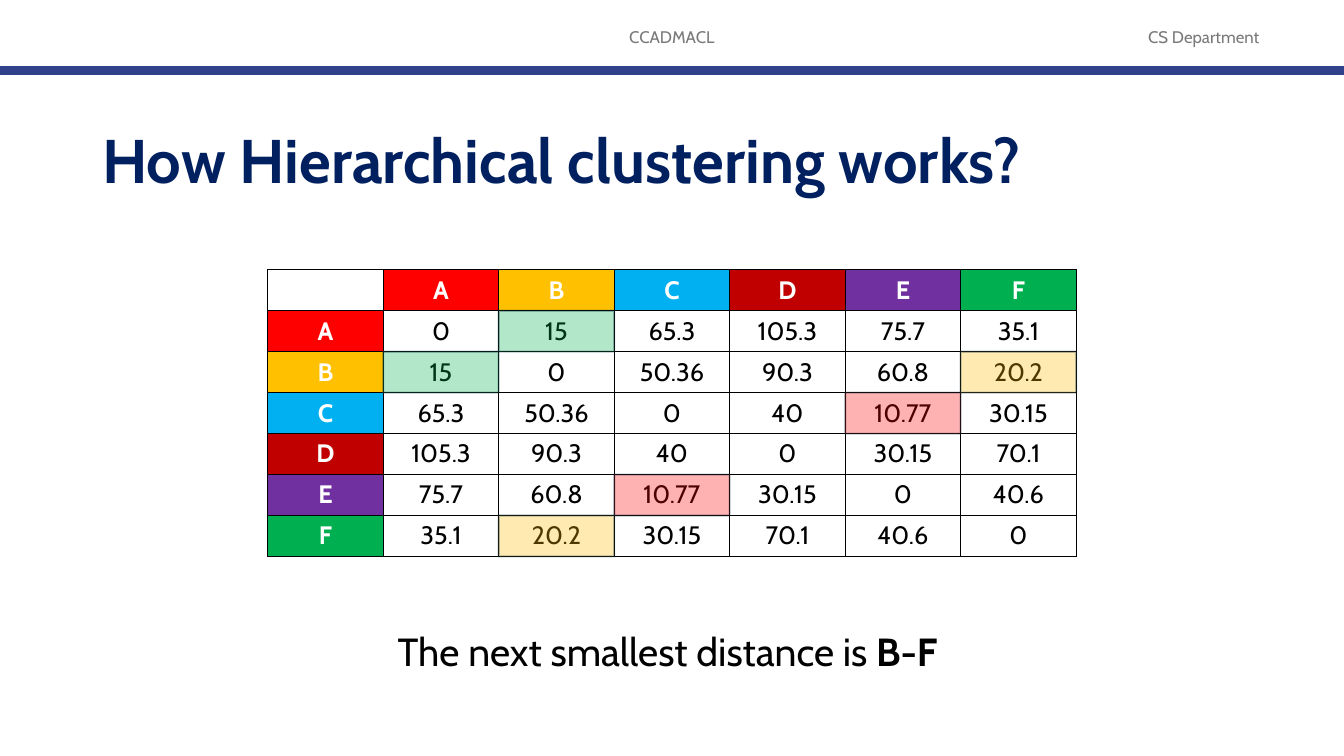
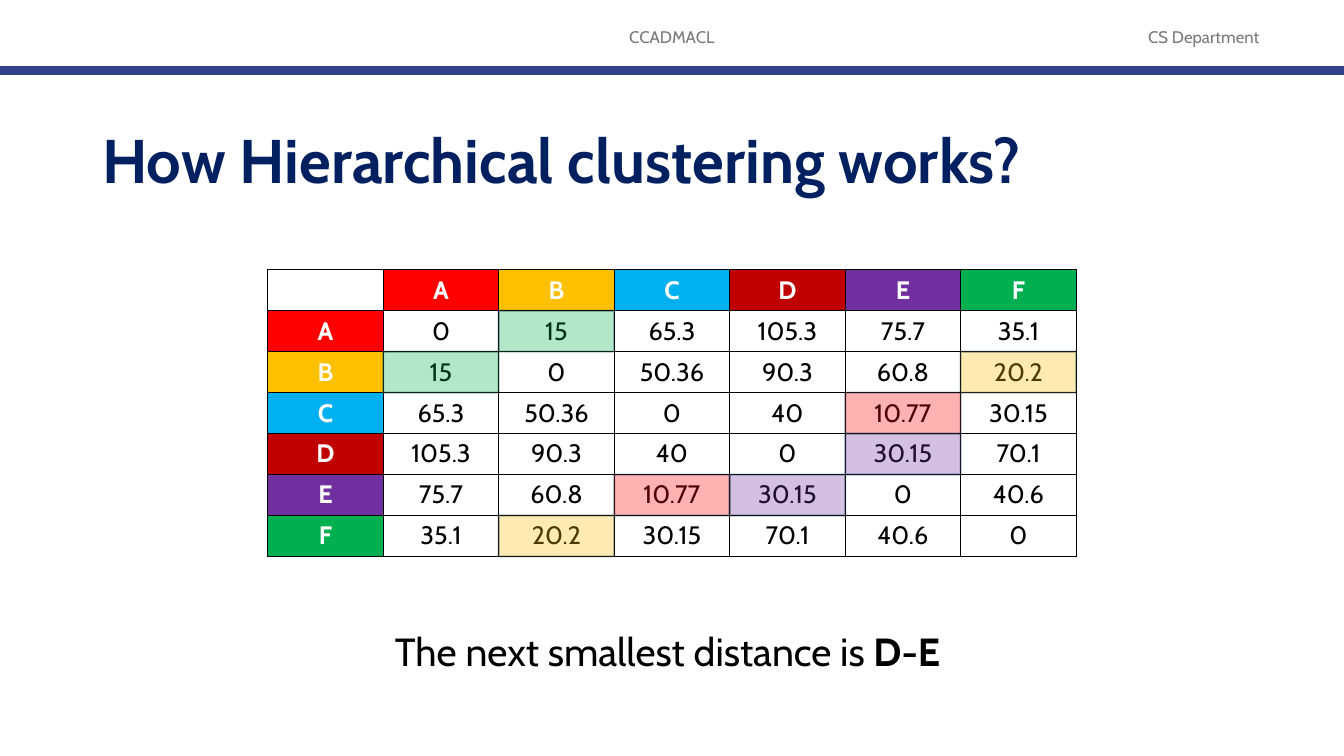
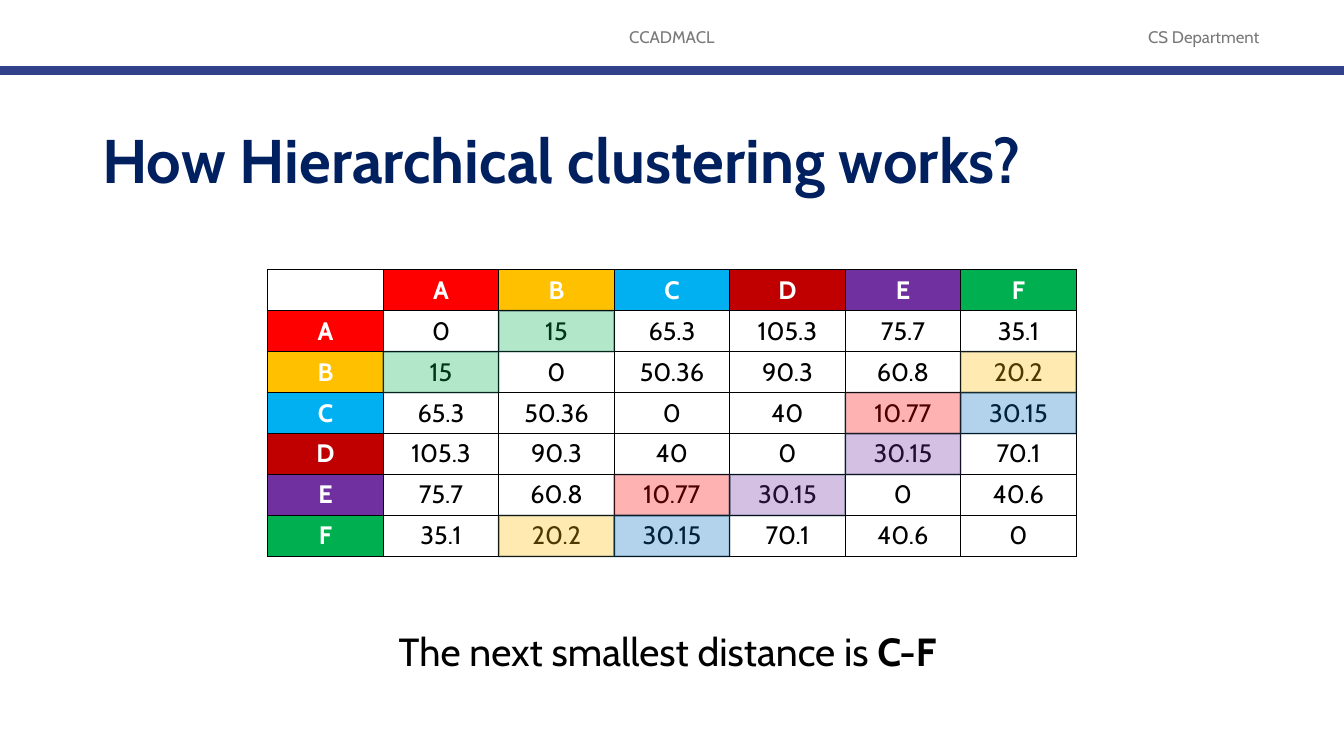
import lxml.etree
import pptx
import pptx.dml.color
import pptx.enum.shapes
import pptx.enum.text
import pptx.oxml.ns
import pptx.util

RGBColor = pptx.dml.color.RGBColor
ALIGN = pptx.enum.text.PP_ALIGN
ANCHOR = pptx.enum.text.MSO_ANCHOR
qn = pptx.oxml.ns.qn

FONT = "Cabin"
BLACK = RGBColor(0x00, 0x00, 0x00)
WHITE = RGBColor(0xFF, 0xFF, 0xFF)
GRAY = RGBColor(0x79, 0x79, 0x79)
NAVY = RGBColor(0x00, 0x20, 0x60)
BAND = RGBColor(0x32, 0x41, 0x8C)
OUTLINE = RGBColor(0x09, 0x2A, 0x39)
RED = RGBColor(0xFF, 0x00, 0x00)
AMBER = RGBColor(0xFF, 0xC0, 0x00)
SKY = RGBColor(0x00, 0xB0, 0xF0)
DARK_RED = RGBColor(0xC0, 0x00, 0x00)
PURPLE = RGBColor(0x70, 0x30, 0xA0)
GREEN = RGBColor(0x00, 0xB0, 0x50)
BLUE = RGBColor(0x00, 0x70, 0xC0)

SLIDE_WIDTH, SLIDE_HEIGHT = 1280, 720
TABLE_LEFT, TABLE_TOP = 255, 257
CELL_WIDTH, CELL_HEIGHT = 110, 39

POINTS = "ABCDEF"
POINT_COLORS = [RED, AMBER, SKY, DARK_RED, PURPLE, GREEN]
DISTANCES = [
    ["0", "15", "65.3", "105.3", "75.7", "35.1"],
    ["15", "0", "50.36", "90.3", "60.8", "20.2"],
    ["65.3", "50.36", "0", "40", "10.77", "30.15"],
    ["105.3", "90.3", "40", "0", "30.15", "70.1"],
    ["75.7", "60.8", "10.77", "30.15", "0", "40.6"],
    ["35.1", "20.2", "30.15", "70.1", "40.6", "0"],
]
MERGES = [("CE", RED), ("AB", GREEN), ("BF", AMBER), ("DE", PURPLE), ("CF", BLUE)]
FIRST_MERGE_SHOWN = 2


def px(length):
    return pptx.util.Emu(length * 9525)


def add_run(paragraph, text, size, color, bold=False):
    run = paragraph.add_run()
    run.text = text
    run.font.name = FONT
    run.font.size = pptx.util.Pt(size)
    run.font.bold = bold
    run.font.color.rgb = color


def add_text(slide, box, alignment, anchor=ANCHOR.MIDDLE):
    frame = slide.shapes.add_textbox(*map(px, box)).text_frame
    frame.word_wrap = True
    frame.vertical_anchor = anchor
    paragraph = frame.paragraphs[0]
    paragraph.alignment = alignment
    return paragraph


def add_header(slide):
    for text, left, width in (("CCADMACL", 424, 432), ("CS Department", 1048, 197)):
        paragraph = add_text(slide, (left, 16, width, 38), ALIGN.CENTER)
        add_run(paragraph, text, 12, GRAY)
    band = slide.shapes.add_connector(
        pptx.enum.shapes.MSO_CONNECTOR.STRAIGHT, px(0), px(67), px(SLIDE_WIDTH), px(67)
    )
    band.line.color.rgb = BAND
    band.line.width = pptx.util.Pt(6)
    lxml.etree.SubElement(band.element.spPr, qn("a:effectLst"))


def add_title(slide, text):
    paragraph = add_text(slide, (88, 86, 1104, 139), ALIGN.LEFT)
    paragraph.line_spacing = 0.9
    add_run(paragraph, text, 44, NAVY, True)


def add_caption(slide, pair):
    paragraph = add_text(slide, (88, 598, 1104, 70), ALIGN.CENTER, ANCHOR.TOP)
    paragraph.line_spacing = 0.9
    add_run(paragraph, "The next smallest distance is ", 28, BLACK)
    add_run(paragraph, "-".join(pair) + " ", 28, BLACK, True)


def add_borders(cell):
    properties = cell._tc.get_or_add_tcPr()
    for side in ("a:lnL", "a:lnR", "a:lnT", "a:lnB"):
        line = lxml.etree.SubElement(properties, qn(side), w=str(pptx.util.Pt(1)))
        fill = lxml.etree.SubElement(line, qn("a:solidFill"))
        lxml.etree.SubElement(fill, qn("a:srgbClr"), val=str(BLACK))


def fill_cell(cell, text, fill, color, bold):
    add_borders(cell)
    cell.fill.solid()
    cell.fill.fore_color.rgb = fill
    cell.vertical_anchor = ANCHOR.MIDDLE
    paragraph = cell.text_frame.paragraphs[0]
    paragraph.alignment = ALIGN.CENTER
    if text:
        add_run(paragraph, text, 18, color, bold)


def add_distance_table(slide):
    count = len(POINTS) + 1
    table = slide.shapes.add_table(
        count, count, px(TABLE_LEFT), px(TABLE_TOP), px(count * CELL_WIDTH), px(count * CELL_HEIGHT)
    ).table
    table.first_row = False
    table.horz_banding = False
    for column in table.columns:
        column.width = px(CELL_WIDTH)
    for row in table.rows:
        row.height = px(CELL_HEIGHT)
    fill_cell(table.cell(0, 0), "", WHITE, BLACK, False)
    for index, (point, color) in enumerate(zip(POINTS, POINT_COLORS), 1):
        fill_cell(table.cell(0, index), point, color, WHITE, True)
        fill_cell(table.cell(index, 0), point, color, WHITE, True)
        for column, distance in enumerate(DISTANCES[index - 1], 1):
            fill_cell(table.cell(index, column), distance, WHITE, BLACK, False)


def add_highlight(slide, row, column, color):
    shape = slide.shapes.add_shape(
        pptx.enum.shapes.MSO_SHAPE.RECTANGLE,
        px(TABLE_LEFT + column * CELL_WIDTH),
        px(TABLE_TOP + row * CELL_HEIGHT),
        px(CELL_WIDTH),
        px(CELL_HEIGHT),
    )
    shape.shadow.inherit = False
    shape.fill.solid()
    shape.fill.fore_color.rgb = color
    shape.line.color.rgb = OUTLINE
    shape.line.width = pptx.util.Pt(1.5)
    for paint in shape.element.spPr.iter(qn("a:srgbClr")):
        lxml.etree.SubElement(paint, qn("a:alpha"), val="30000")


def highlight_pair(slide, pair, color):
    first, second = (POINTS.index(point) + 1 for point in pair)
    add_highlight(slide, second, first, color)
    add_highlight(slide, first, second, color)


def main():
    presentation = pptx.Presentation()
    presentation.slide_width = px(SLIDE_WIDTH)
    presentation.slide_height = px(SLIDE_HEIGHT)
    for step in range(FIRST_MERGE_SHOWN, len(MERGES)):
        slide = presentation.slides.add_slide(presentation.slide_layouts[6])
        add_header(slide)
        add_caption(slide, MERGES[step][0])
        add_title(slide, "How Hierarchical clustering works?")
        add_distance_table(slide)
        for pair, color in MERGES[: step + 1]:
            highlight_pair(slide, pair, color)
    presentation.save("out.pptx")


if __name__ == "__main__":
    main()
